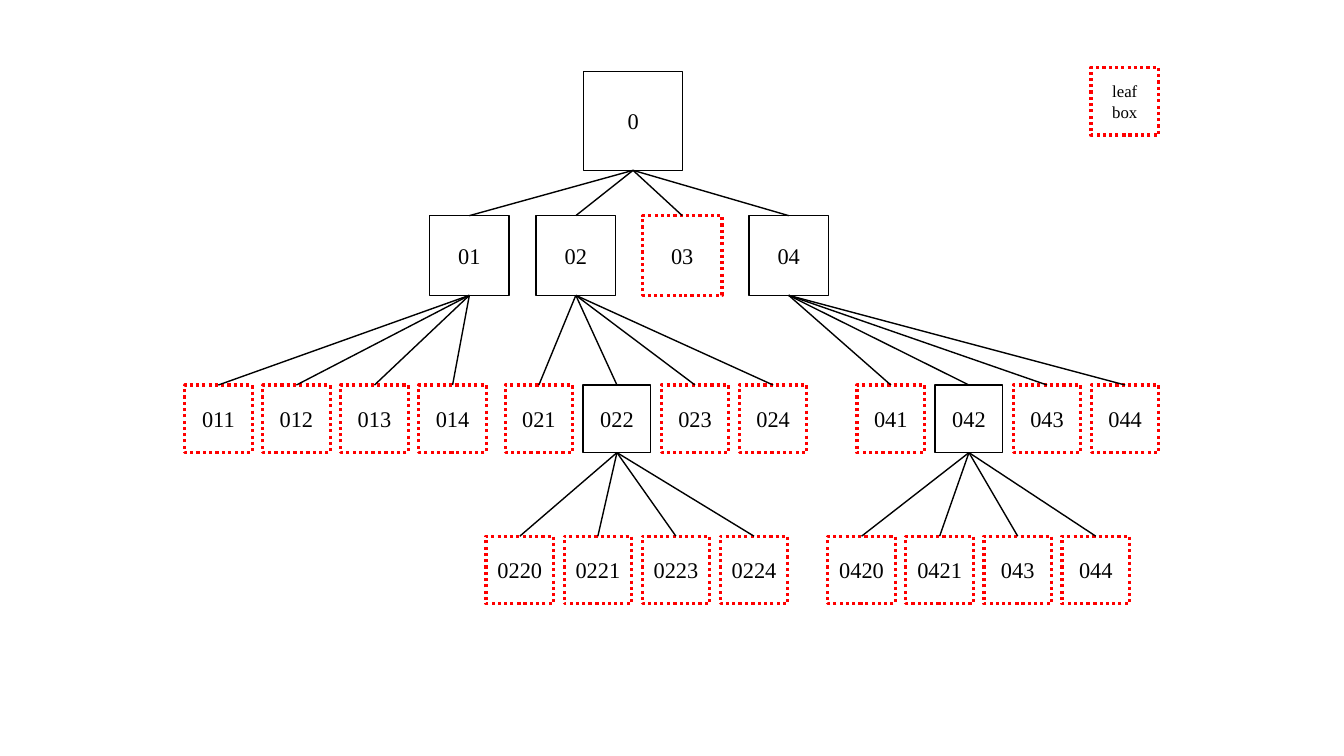
from pptx import Presentation
from pptx import util as u
from pptx.dml.color import RGBColor
from pptx.enum import dml, shapes, text
from pptx.oxml.ns import qn
from lxml import etree

COLORS = {"paper": "FFFFFF", "ink": "000000", "leaf": "FF0000"}
FONT = "Times New Roman"

# The slide is a grid of 100 columns by 100 rows.
SLIDE_W, SLIDE_H = u.Inches(13.33), u.Inches(7.5)
COL, ROW = SLIDE_W / 100, SLIDE_H / 100

# Depth in the tree: (top in rows, box side in columns, pitch in columns)
LEVELS = [
    (9.47, 7.35, 0),
    (28.53, 5.93, 7.92),
    (50.93, 5.03, 5.81),
    (70.93, 5.03, 5.81),
]
ROOT, ROOT_LEFT = "0", 43.43

# Parent: (depth of children, left of first child in columns, children)
FAMILIES = {
    "0": (1, 31.96, ["01", "02", "03", "04"]),
    "01": (2, 13.73, ["011", "012", "013", "014"]),
    "02": (2, 37.58, ["021", "022", "023", "024"]),
    "04": (2, 63.77, ["041", "042", "043", "044"]),
    "022": (3, 36.16, ["0220", "0221", "0223", "0224"]),
    "042": (3, 61.59, ["0420", "0421", "043", "044"]),
}
LEGEND_LEFT, LEGEND_TOP, LEGEND_SIDE = 81.17, 8.93, 5.03


def rgb(name):
    return RGBColor.from_string(COLORS[name])


def apply(target, formats):
    for attribute, value in formats.items():
        setattr(target, attribute, value)


def add_box(slide, label, left, top, side, leaf, size=16):
    """Draw a square box; leaf boxes get a dotted red outline."""
    box = slide.shapes.add_shape(
        shapes.MSO_SHAPE.RECTANGLE,
        round(left * COL), round(top * ROW), round(side * COL), round(side * COL))
    box.shadow.inherit = False
    box.fill.solid()
    box.fill.fore_color.rgb = rgb("paper")
    box.line.color.rgb = rgb("leaf" if leaf else "ink")
    box.line.width = u.Pt(2.25 if leaf else 1)
    if leaf:
        box.line.dash_style = dml.MSO_LINE.ROUND_DOT
    frame = box.text_frame
    apply(frame, {"text": label, "word_wrap": True,
                  "vertical_anchor": text.MSO_ANCHOR.MIDDLE})
    paragraph = frame.paragraphs[0]
    paragraph.alignment = text.PP_ALIGN.CENTER
    font = paragraph.runs[0].font
    apply(font, {"name": FONT, "size": u.Pt(size)})
    font.color.rgb = rgb("ink")
    return box


def add_branch(slide, parent, child):
    branch = slide.shapes.add_connector(shapes.MSO_CONNECTOR.STRAIGHT, 0, 0, 0, 0)
    branch.begin_connect(parent, 2)
    branch.end_connect(child, 0)
    branch.line.color.rgb = rgb("ink")
    branch.line.width = u.Pt(1)
    etree.SubElement(branch._element.spPr, qn("a:effectLst"))


def add_tree(slide):
    root_top, root_side, _ = LEVELS[0]
    parents = {ROOT: add_box(slide, ROOT, ROOT_LEFT, root_top, root_side, False)}
    branches = []
    for parent, (depth, first_left, children) in FAMILIES.items():
        top, side, pitch = LEVELS[depth]
        for place, label in enumerate(children):
            leaf = label not in FAMILIES
            child = add_box(slide, label, first_left + place * pitch, top, side, leaf)
            branches.append((parents[parent], child))
            if not leaf:
                parents[label] = child
    for parent, child in branches:
        add_branch(slide, parent, child)


def main():
    deck = Presentation()
    apply(deck, {"slide_width": SLIDE_W, "slide_height": SLIDE_H})
    slide = deck.slides.add_slide(deck.slide_layouts[6])
    add_tree(slide)
    add_box(slide, "leaf box", LEGEND_LEFT, LEGEND_TOP, LEGEND_SIDE, True, size=12)
    deck.save("out.pptx")


if __name__ == "__main__":
    main()
